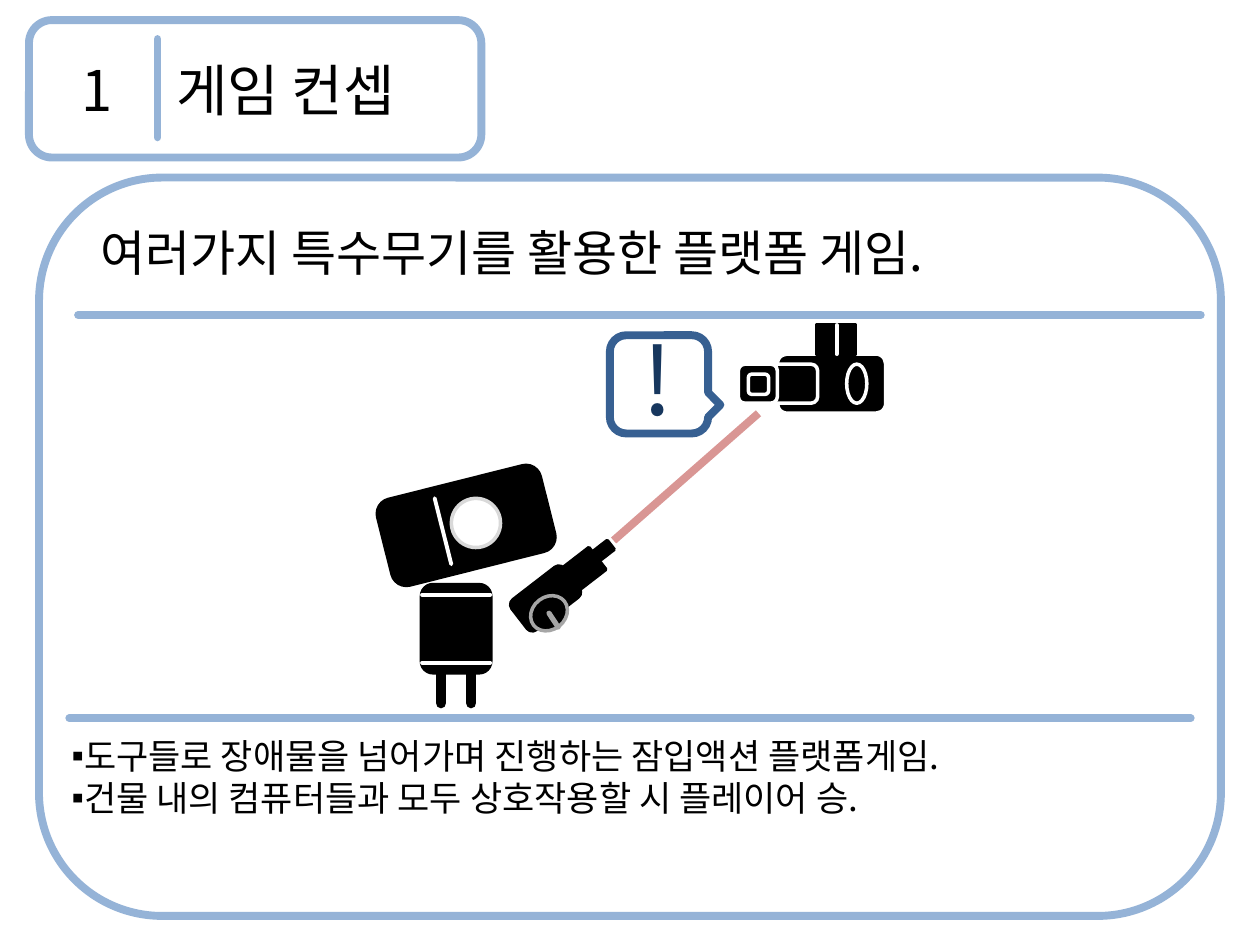
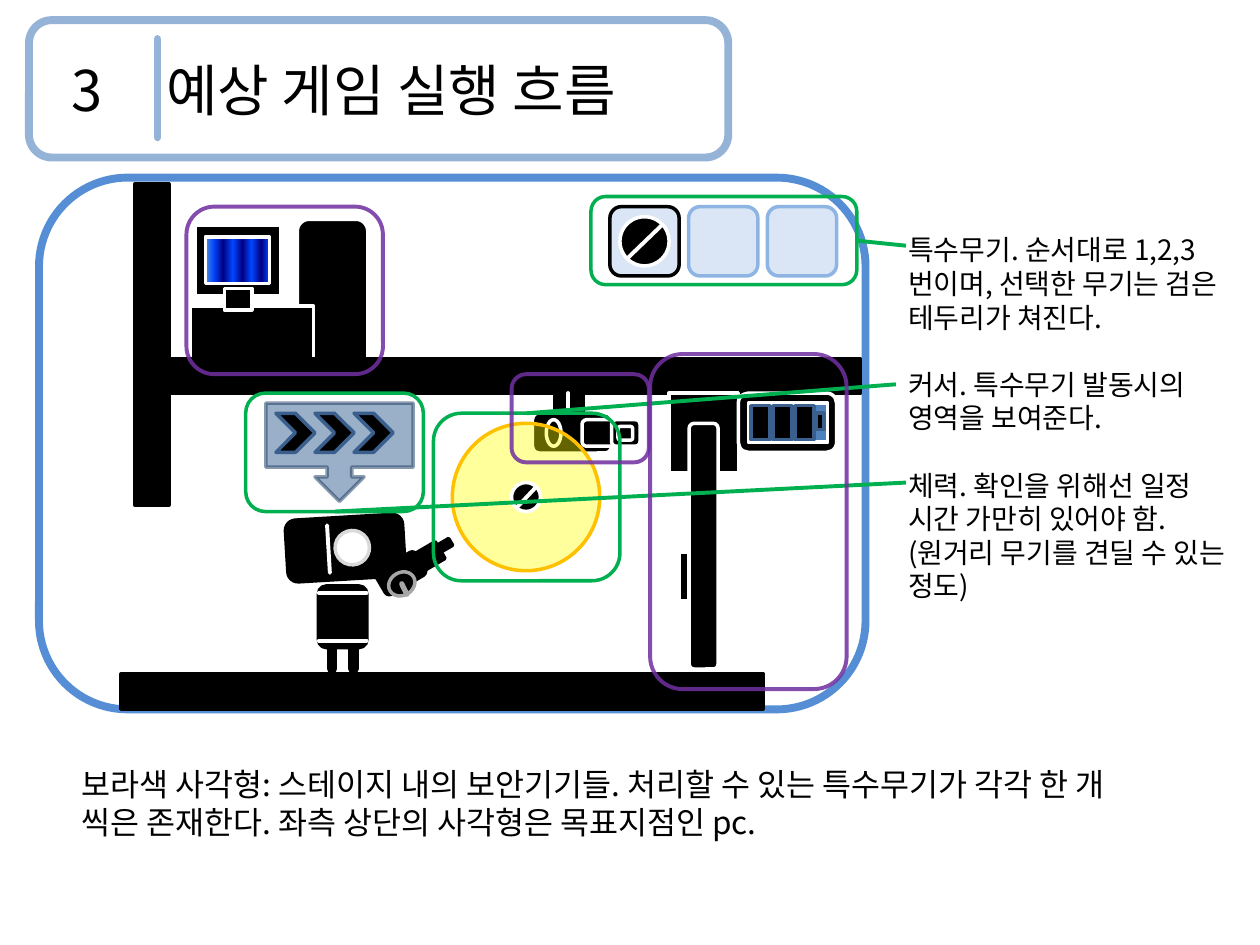
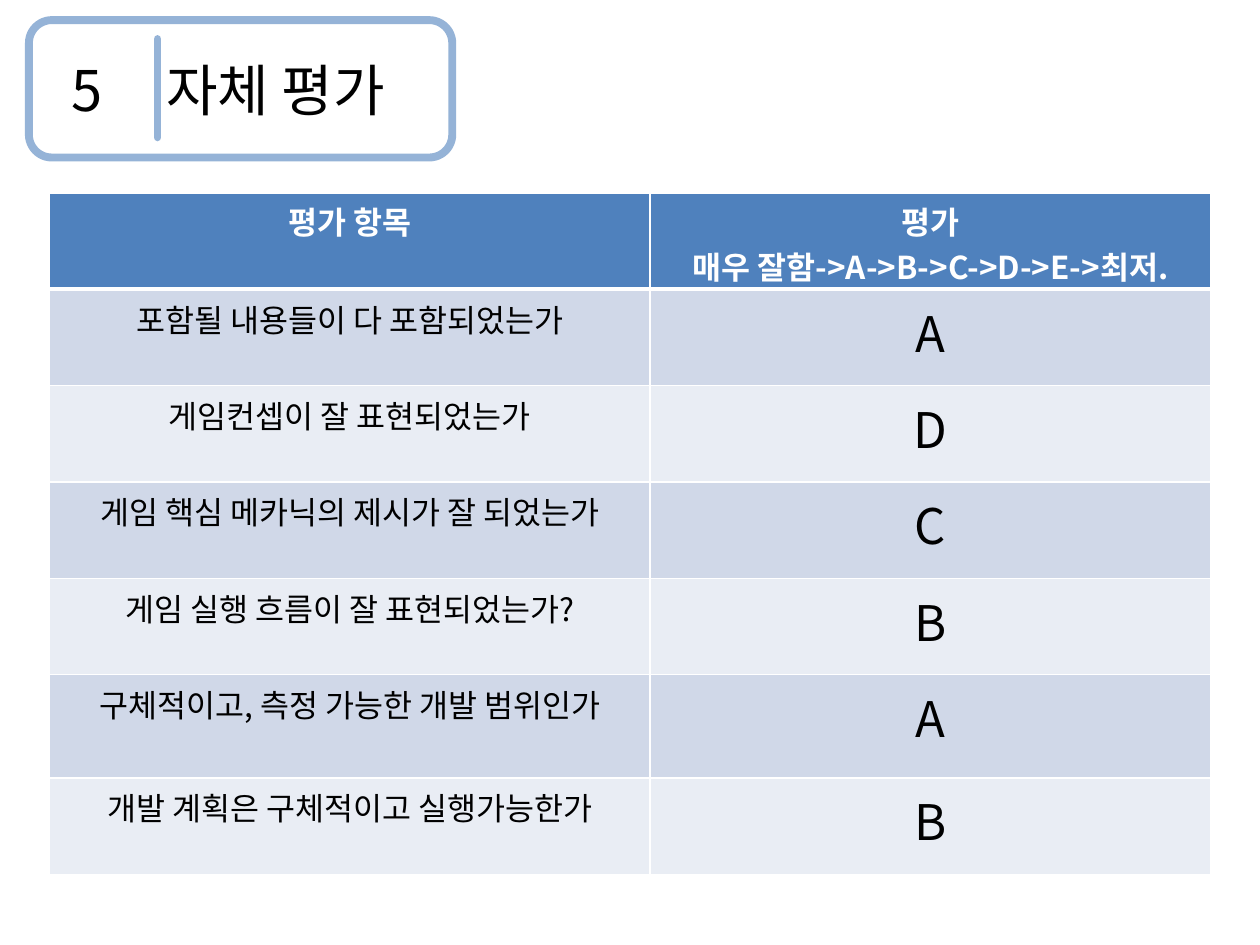
from math import cos, radians, sin

from lxml import etree
from pptx import Presentation
from pptx.dml import color
from pptx.enum import shapes, text
from pptx.oxml import ns
from pptx.util import Inches, Pt

FONT = "Noto Sans CJK KR"
BLACK, WHITE = "000000", "FFFFFF"
SKY, BLUE, NAVY, STEEL = "95B3D7", "558ED5", "17375E", "3A5F8C"
GREEN, PURPLE, GREY = "00B050", "7030A0", "A6A6A6"
KIND = shapes.MSO_SHAPE
RECT, ROUND, OVAL = KIND.RECTANGLE, KIND.ROUNDED_RECTANGLE, KIND.OVAL


# Basic tools
def rgb(code):
    return color.RGBColor.from_string(code)


def sub(parent, tag, **attrs):
    return etree.SubElement(parent, ns.qn(tag), **attrs)


def paint(fill, code, alpha=100):
    fill.solid()
    fill.fore_color.rgb = rgb(code)
    if alpha < 100:
        for node in fill._xPr.iter(ns.qn("a:srgbClr")):
            sub(node, "a:alpha", val=str(alpha * 1000))


def shape(s, kind, at, fill=None, line=BLACK, width=2, rot=0,
          alpha=100, edge=100):
    item = s.shapes.add_shape(kind, *map(Inches, at))
    item.shadow.inherit = False
    item.rotation = rot
    if fill:
        paint(item.fill, fill, alpha)
    else:
        item.fill.background()
    paint(item.line.fill, line, edge)
    item.line.width = Pt(width)
    return item


def rule(s, start, end, code=WHITE, width=2.25, cap="rnd"):
    item = s.shapes.add_connector(shapes.MSO_CONNECTOR.STRAIGHT,
                                  *map(Inches, (*start, *end)))
    paint(item.line.fill, code)
    item.line.width = Pt(width)
    item.line._get_or_add_ln().set("cap", cap)
    sub(item._element.spPr, "a:effectLst")


def style(para, size, code=BLACK, bold=False):
    font = para.font
    font.name, font.size, font.bold = FONT, Pt(size), bold
    font.color.rgb = rgb(code)


def write(s, at, lines, size, code=BLACK):
    box = s.shapes.add_textbox(*map(Inches, at))
    frame = box.text_frame
    frame.word_wrap = True
    frame.auto_size = text.MSO_AUTO_SIZE.SHAPE_TO_FIT_TEXT
    frame.text = "\n".join(lines)
    for para in frame.paragraphs:
        style(para, size, code)
    return frame.paragraphs


def title(s, num, name, wide, left=0.47):
    shape(s, ROUND, (0.23, 0.16, wide, 1.09), line=SKY, width=4.5)
    para = write(s, (left, 0.39, max(wide - 0.39, 3.2), 0.64),
                 [f"{num}\t{name}"], 32)[0]
    tabs = etree.Element(ns.qn("a:tabLst"))
    sub(tabs, "a:tab", pos=str(Inches(0.75)), algn="l")
    para.font._element.addprevious(tabs)
    rule(s, (1.25, 0.31), (1.25, 1.09), SKY, 4.5)


# Robot and camera, sized by a scale
def turner(x, y, scale, rot):
    """Give a function that maps local points to the slide."""
    c, n = cos(radians(rot)), sin(radians(rot))
    return lambda dx, dy: (x + scale * (dx * c - dy * n),
                           y + scale * (dx * n + dy * c))


def part(s, kind, mid, size, scale, rot, fill=BLACK, line=BLACK):
    w, h = (scale * v for v in size)
    shape(s, kind, (mid[0] - w / 2, mid[1] - h / 2, w, h), fill, line, rot=rot)


def head(s, x, y, scale, rot):
    spot = turner(x, y, scale, rot)
    part(s, ROUND, (x, y), (1.33, 0.7), scale, rot)
    rule(s, spot(-0.19, -0.27), spot(-0.19, 0.27))
    part(s, OVAL, spot(0.08, 0), (0.39, 0.39), scale, rot, WHITE, "D9D9D9")


def torso(s, x, y, scale):
    spot = turner(x, y, scale, 0)
    for dx in (-0.12, 0.12):
        rule(s, spot(dx, 0.55), spot(dx, 0.94), BLACK, 6)
    part(s, ROUND, spot(0, 0.35), (0.55, 0.7), scale, 0)
    for dy in (0.08, 0.62):
        rule(s, spot(-0.27, dy), spot(0.27, dy))


def arm(s, x, y, scale, rot):
    spot = turner(x, y, scale, rot)
    for kind, mid, size, line in (
            (ROUND, (0, 0), (0.52, 0.3), BLACK),
            (OVAL, (-0.05, 0.11), (0.31, 0.26), GREY),
            (RECT, (0.34, 0), (0.36, 0.22), BLACK),
            (RECT, (0.54, -0.02), (0.26, 0.09), BLACK)):
        part(s, kind, spot(*mid), size, scale, rot, line=line)
    rule(s, spot(-0.05, 0.11), spot(-0.06, 0.24), GREY, 3)


def camera(s, x, y, across=1, down=1):
    """Draw from the lens tip; a negative width faces right."""
    for kind, dx, dy, w, h, line in (
            (ROUND, 0.31, 0.23, 0.86, 0.47, WHITE),
            (ROUND, 0, 0.31, 0.63, 0.31, WHITE),
            (OVAL, 0.86, 0.31, 0.16, 0.31, WHITE),
            (ROUND, 0, 0.31, 0.31, 0.31, WHITE),
            (ROUND, 0.08, 0.39, 0.16, 0.16, WHITE),
            (RECT, 0.62, 0, 0.31, 0.23, BLACK)):
        left = min(x + across * dx, x + across * (dx + w))
        shape(s, kind, (left, y + down * dy, abs(across) * w, down * h),
              BLACK, line)
    mid = x + across * 0.78
    rule(s, (mid, y), (mid, y + down * 0.23))


# Slide: concept
def concept(s):
    shape(s, ROUND, (0.31, 1.41, 9.38, 5.86), line=SKY, width=4.5)
    title(s, 1, "게임 컨셉", 3.59, 0.55)
    write(s, (0.7, 1.72, 8.52, 0.57),
          ["여러가지 특수무기를 활용한 플랫폼 게임."], 28)
    for para in write(s, (0.47, 5.78, 8.98, 0.77), [
            "도구들로 장애물을 넘어가며 진행하는 잠입액션 플랫폼게임.",
            "건물 내의 컴퓨터들과 모두 상호작용할 시 플레이어 승."], 20):
        face = etree.Element(ns.qn("a:buFont"), typeface="Arial")
        mark = etree.Element(ns.qn("a:buChar"), char="▪")
        para.font._element.addprevious(face)
        para.font._element.addprevious(mark)
    for left, right, y in ((0.62, 9.53, 2.5), (0.55, 9.45, 5.7)):
        rule(s, (left, y), (right, y), SKY, 4.5)
    head(s, 3.7, 4.17, 1, -14.1)
    torso(s, 3.62, 4.64, 1)
    arm(s, 4.33, 4.75, 1, -37.7)
    rule(s, (4.87, 4.29), (6.02, 3.28), "D99694", 4.5, "flat")
    camera(s, 5.86, 2.58)
    write(s, (5, 2.5, 0.47, 1.01), ["!"], 54, NAVY)
    shape(s, KIND.ROUNDED_RECTANGULAR_CALLOUT, (4.84, 2.66, 0.78, 0.78),
          line="376092", width=4.5, rot=270)


# Slide: game flow
def desk(s):
    shape(s, RECT, (1.55, 1.79, 0.68, 0.56), BLACK, WHITE)
    screen = shape(s, RECT, (1.63, 1.88, 0.51, 0.37), BLACK, WHITE)
    screen.fill.gradient()
    screen.fill.gradient_angle = 0
    stops = screen._element.spPr.find(".//" + ns.qn("a:gsLst"))
    for old in list(stops):
        stops.remove(old)
    for i, pos in enumerate((0, 13, 28, 43, 58, 72, 87, 100)):
        code = BLUE if i == 0 else ("000082", "0047FF")[i % 2]
        stop = sub(stops, "a:gs", pos=str(pos * 1000))
        sub(stop, "a:srgbClr", val=code)
    shape(s, ROUND, (2.36, 1.74, 0.56, 1.39), BLACK, WHITE)
    shape(s, RECT, (1.51, 2.43, 0.98, 0.46), BLACK, WHITE)
    shape(s, RECT, (3.92, 0.22, 0.28, 5.53), BLACK, rot=90)
    shape(s, RECT, (1.78, 2.29, 0.22, 0.17), BLACK, WHITE)


def door(s):
    for kind, at in ((RECT, (5.31, 3.12, 0.55, 0.63)),
                     (ROUND, (5.47, 3.36, 0.23, 1.95)),
                     (RECT, (5.39, 4.38, 0.08, 0.39)),
                     (ROUND, (5.86, 3.12, 0.78, 0.47))):
        shape(s, kind, at, BLACK, WHITE)
    shape(s, RECT, (5.94, 3.2, 0.63, 0.31), "4F81BD", WHITE)
    for i in range(3):
        shape(s, RECT, (5.96 + i * 0.175, 3.22, 0.15, 0.27), BLACK, STEEL)
    shape(s, RECT, (6.48, 3.28, 0.06, 0.13), BLACK, STEEL)


def slots(s):
    for i, line in enumerate((BLACK, "8EB4E3", "8EB4E3")):
        shape(s, ROUND, (4.84 + i * 0.625, 1.64, 0.55, 0.55), "C6D9F1",
              line, alpha=64)
    shape(s, OVAL, (4.92, 1.72, 0.39, 0.39), BLACK, WHITE)
    rule(s, (5.26, 1.78), (4.98, 2.05))


def aim(s):
    shape(s, OVAL, (3.59, 3.36, 1.17, 1.17), "FFFF00", "FFC000", alpha=39)
    shape(s, OVAL, (4.06, 3.83, 0.23, 0.23), BLACK, WHITE)
    rule(s, (4.26, 3.86), (4.1, 4.03))


def health(s):
    shape(s, KIND.DOWN_ARROW_CALLOUT, (2.11, 3.2, 1.17, 0.78), "376092",
          NAVY, alpha=50, edge=50)
    for i in range(3):
        shape(s, KIND.CHEVRON, (2.19 + i * 0.31, 3.28, 0.31, 0.31),
              BLACK, STEEL)


def flag(s, at, start, end):
    shape(s, ROUND, at, line=GREEN)
    rule(s, start, end, GREEN, cap="flat")


def flow(s):
    title(s, 3, "예상 게임 실행 흐름", 5.55)
    # Stage
    shape(s, ROUND, (0.31, 1.41, 6.56, 4.22), line=BLUE, width=4.5)
    shape(s, RECT, (1.07, 1.46, 0.27, 2.55), BLACK)
    head(s, 2.74, 4.35, 0.7, -3.4)
    torso(s, 2.72, 4.65, 0.7)
    arm(s, 3.18, 4.55, 0.7, -30.4)
    shape(s, RECT, (3.37, 2.94, 0.28, 5.1), BLACK, rot=90)
    desk(s)
    door(s)
    # Player tools, each with its pointer
    slots(s)
    flag(s, (4.69, 1.56, 2.11, 0.7), (6.8, 1.91), (7.19, 1.95))
    camera(s, 5.08, 3.12, -0.73, 0.68)
    aim(s)
    flag(s, (3.44, 3.28, 1.48, 1.33), (4.18, 3.28), (7.11, 3.05))
    health(s)
    flag(s, (1.95, 3.12, 1.41, 0.94), (2.66, 4.06), (7.19, 3.83))
    # Security devices
    for at in ((1.48, 1.64, 1.56, 1.33), (4.06, 2.97, 1.09, 0.7),
               (5.16, 2.81, 1.56, 2.66)):
        shape(s, ROUND, at, line=PURPLE, width=2.25, edge=85)
    # Notes
    notes = write(s, (7.11, 1.8, 2.89, 3.06), [
        "특수무기. 순서대로 1,2,3번이며, 선택한 무기는 검은 테두리가 쳐진다.",
        "커서. 특수무기 발동시의 영역을 보여준다.",
        "체력. 확인을 위해선 일정 시간 가만히 있어야 함.",
        "(원거리 무기를 견딜 수 있는 정도)"], 16)
    for para in notes[1:3]:
        para.space_before = Pt(19.2)
    write(s, (0.55, 6.02, 8.5, 0.71), [
        "보라색 사각형: 스테이지 내의 보안기기들. 처리할 수 있는 특수무기가 "
        "각각 한 개 씩은 존재한다. 좌측 상단의 사각형은 목표지점인 pc."], 18)


# Slide: self review
def fill_cell(cell, words, size, back, code=BLACK, bold=False, base=1):
    props = cell._tc.get_or_add_tcPr()
    for side, width in (("L", 1), ("R", 1), ("T", 1), ("B", base)):
        edge = sub(props, "a:ln" + side, w=str(Pt(width)))
        sub(sub(edge, "a:solidFill"), "a:srgbClr", val=WHITE)
    paint(cell.fill, back)
    cell.text = words
    for para in cell.text_frame.paragraphs:
        para.alignment = text.PP_ALIGN.CENTER
        style(para, size, code, bold)


def review(s):
    title(s, 5, "자체 평가", 3.36)
    marks = (("포함될 내용들이 다 포함되었는가", "A"),
             ("게임컨셉이 잘 표현되었는가", "D"),
             ("게임 핵심 메카닉의 제시가 잘 되었는가", "C"),
             ("게임 실행 흐름이 잘 표현되었는가?", "B"),
             ("구체적이고, 측정 가능한 개발 범위인가", "A"),
             ("개발 계획은 구체적이고 실행가능한가", "B"))
    grid = s.shapes.add_table(7, 2, *map(Inches, (0.39, 1.53, 9.22, 5.41))).table
    for col, wide in zip(grid.columns, (4.77, 4.45)):
        col.width = Inches(wide)
    for i, row in enumerate(grid.rows):
        row.height = Inches(0.82 if i == 5 else 4.59 / 6)
    heads = ("평가 항목", "평가\n매우 잘함->A->B->C->D->E->최저.")
    for i, words in enumerate(heads):
        cell = grid.cell(0, i)
        fill_cell(cell, words, 18, "4F81BD", WHITE, True, 3)
        cell.margin_top, cell.margin_bottom = Inches(0.04), 0
    for i, pair in enumerate(marks, 1):
        back = "D0D8E8" if i % 2 else "E9EDF4"
        for j, words in enumerate(pair):
            fill_cell(grid.cell(i, j), words, (18, 28)[j], back)


def main():
    deck = Presentation()
    deck.slide_width, deck.slide_height = Inches(10), Inches(7.5)
    for build in (concept, flow, review):
        build(deck.slides.add_slide(deck.slide_layouts[6]))
    deck.save("out.pptx")


main()
